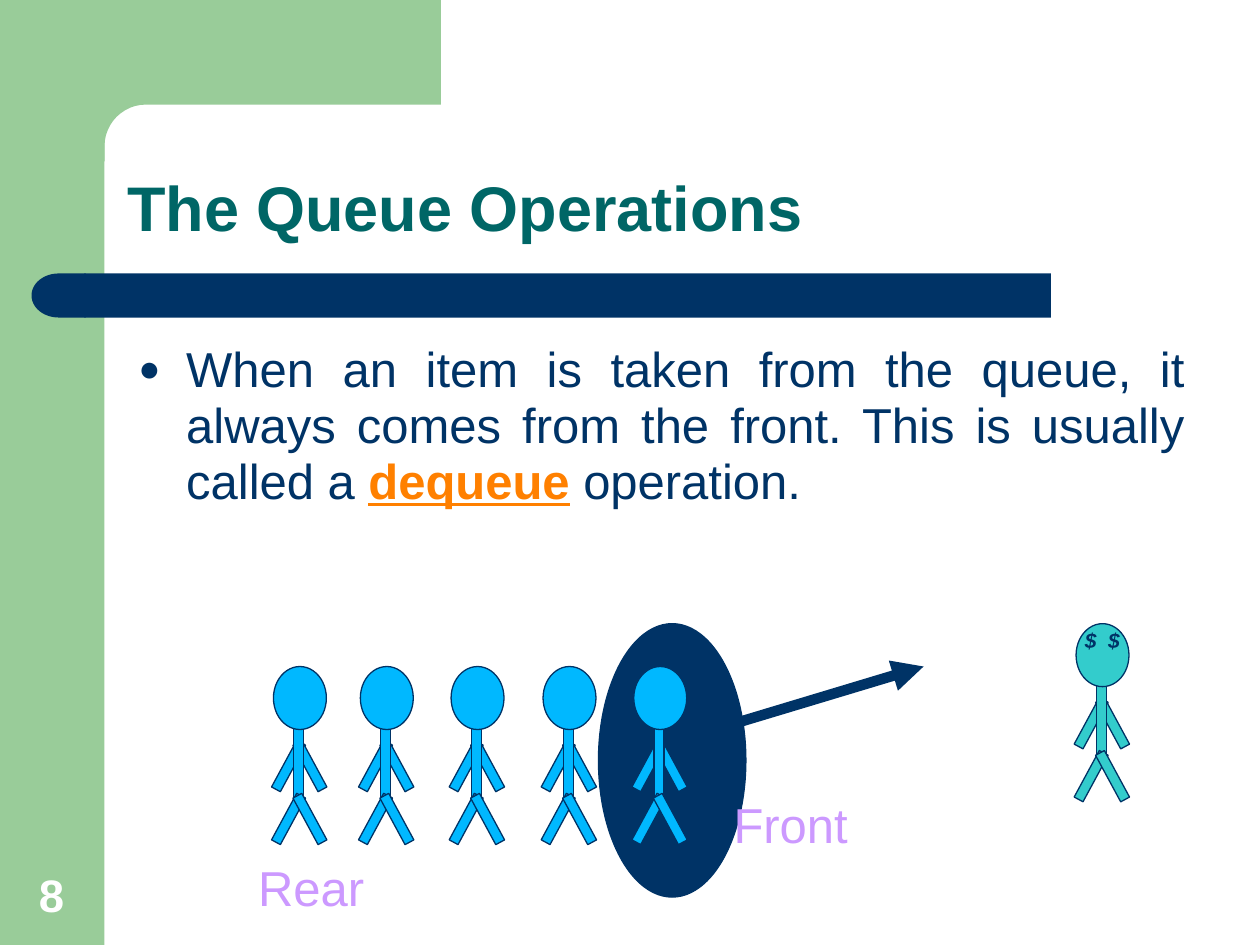
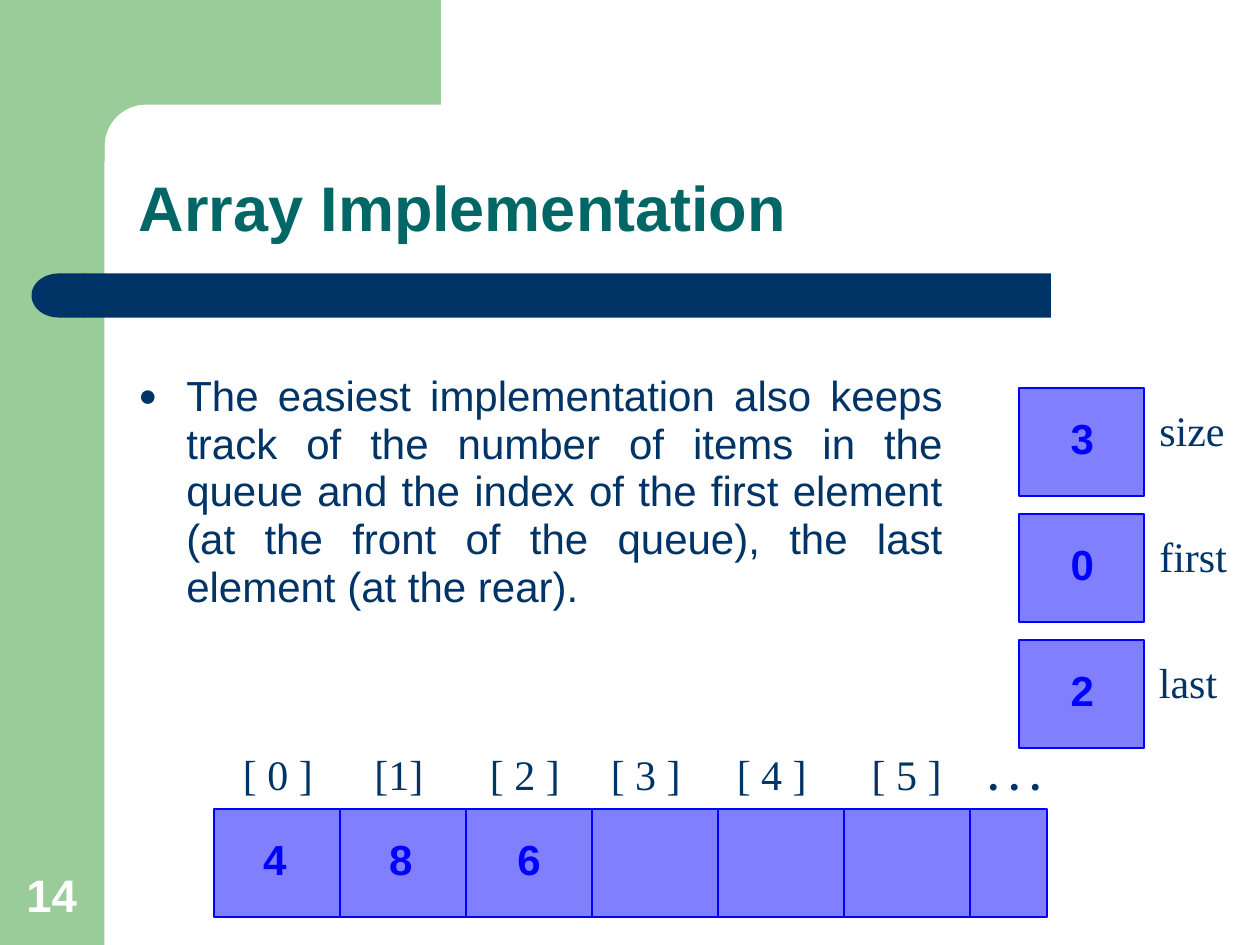
from dataclasses import dataclass
from math import cos, pi, sin
from typing import Any, NamedTuple, Optional

from lxml.etree import SubElement
from pptx import Presentation
from pptx.dml.color import RGBColor
from pptx.enum.shapes import MSO_CONNECTOR, MSO_SHAPE
from pptx.enum.text import MSO_ANCHOR, MSO_AUTO_SIZE, PP_ALIGN
from pptx.oxml.ns import qn
from pptx.util import Inches, Pt

NAVY = RGBColor(0x00, 0x33, 0x66)
GREEN = RGBColor(0x99, 0xCC, 0x99)
TEAL = RGBColor(0x00, 0x66, 0x66)
ORANGE = RGBColor(0xFF, 0x80, 0x00)
LILAC = RGBColor(0xCC, 0x99, 0xFF)
SKY = RGBColor(0x00, 0xB8, 0xFF)
TURQUOISE = RGBColor(0x33, 0xCC, 0xCC)
PERIWINKLE = RGBColor(0x80, 0x80, 0xFF)
BLUE = RGBColor(0x00, 0x00, 0xFF)
WHITE = RGBColor(0xFF, 0xFF, 0xFF)


class Box(NamedTuple):
    left: float
    top: float
    width: float
    height: float

    def lengths(self) -> list:
        return [Inches(value) for value in self]


@dataclass(frozen=True)
class Style:
    color: RGBColor
    font: dict[str, Any]
    spacing: float = 0.95
    align: PP_ALIGN = PP_ALIGN.CENTER


@dataclass(frozen=True)
class BodyPart:
    kind: MSO_SHAPE
    box: Box
    turn: float = 0


@dataclass(frozen=True)
class Counter:
    value: str
    name: str
    name_width: float


TITLE = Style(TEAL, dict(name="Arial", size=Pt(36), bold=True), align=PP_ALIGN.LEFT)
PAGE_NUMBER = Style(WHITE, dict(name="Arial", size=Pt(26), bold=True), 1.0)
QUEUE_END = Style(LILAC, dict(name="Arial", size=Pt(28)))
EYES = Style(NAVY, dict(name="Arial", size=Pt(12), bold=True, italic=True))
INDEX = Style(NAVY, dict(name="Times New Roman", size=Pt(24)), 0.93)
ELLIPSIS = Style(NAVY, INDEX.font | dict(bold=True), 0.93)
VALUE = Style(BLUE, dict(name="Arial", size=Pt(24), bold=True), 0.93)
POINT_LARGE = Style(NAVY, dict(name="Arial", size=Pt(28)), align=PP_ALIGN.JUSTIFY)
POINT_SMALL = Style(NAVY, dict(name="Arial", size=Pt(24)), align=PP_ALIGN.JUSTIFY)
KEY_TERM = Style(ORANGE, POINT_LARGE.font | dict(bold=True, underline=True))

LIMB_TURN = 28.4
LEFT_LIMB, RIGHT_LIMB, SHOULDER, HIP = 0.08, 0.25, 0.58, 1.0
PERSON = (
    BodyPart(MSO_SHAPE.RECTANGLE, Box(LEFT_LIMB, SHOULDER, 0.08, 0.42), LIMB_TURN),
    BodyPart(MSO_SHAPE.RECTANGLE, Box(RIGHT_LIMB, SHOULDER, 0.08, 0.42), -LIMB_TURN),
    BodyPart(MSO_SHAPE.RECTANGLE, Box(0.16, 0.41, 0.08, 0.67)),
    BodyPart(MSO_SHAPE.OVAL, Box(0, 0, 0.42, 0.5)),
    BodyPart(MSO_SHAPE.RECTANGLE, Box(LEFT_LIMB, HIP, 0.08, 0.42), LIMB_TURN),
    BodyPart(MSO_SHAPE.RECTANGLE, Box(RIGHT_LIMB, HIP, 0.08, 0.42), -LIMB_TURN),
)
COUNTERS = (
    Counter("3", "size", 0.72),
    Counter("0", "first", 0.74),
    Counter("2", "last", 0.66),
)


def paint(shape, fill: Optional[RGBColor], line: Optional[RGBColor] = None,
          weight: float = 0.75) -> None:
    shape.shadow.inherit = False
    if fill is None:
        shape.fill.background()
    else:
        shape.fill.solid()
        shape.fill.fore_color.rgb = fill
    if line is None:
        shape.line.fill.background()
    else:
        shape.line.color.rgb = line
        shape.line.width = Pt(weight)


def add_block(slide, kind: MSO_SHAPE, box: Box, fill: Optional[RGBColor],
              line: Optional[RGBColor] = None, weight: float = 0.75, turn: float = 0):
    block = slide.shapes.add_shape(kind, *box.lengths())
    block.rotation = turn
    if kind == MSO_SHAPE.ROUNDED_RECTANGLE:
        block.adjustments[0] = 0
    paint(block, fill, line, weight)
    return block


def add_line(slide, start: tuple, end: tuple, color: RGBColor,
             weight: float, arrow: bool = False) -> None:
    ends = [Inches(value) for value in (*start, *end)]
    connector = slide.shapes.add_connector(MSO_CONNECTOR.STRAIGHT, *ends)
    connector.line.color.rgb = color
    connector.line.width = Pt(weight)
    if arrow:
        SubElement(connector.line._get_or_add_ln(), qn("a:tailEnd"), type="triangle")
    SubElement(connector._element.spPr, qn("a:effectLst"))


def write_run(paragraph, text: str, style: Style):
    run = paragraph.add_run()
    run.text = text
    for attribute, value in style.font.items():
        setattr(run.font, attribute, value)
    run.font.color.rgb = style.color
    return run


def prepare(frame, style: Style, wrap: bool, anchor: MSO_ANCHOR):
    settings = dict(word_wrap=wrap, auto_size=MSO_AUTO_SIZE.NONE, vertical_anchor=anchor)
    for attribute, value in settings.items():
        setattr(frame, attribute, value)
    paragraph = frame.paragraphs[0]
    paragraph.alignment = style.align
    paragraph.line_spacing = style.spacing
    return paragraph


def add_text(slide, text: str, box: Box, style: Style, anchor: MSO_ANCHOR = MSO_ANCHOR.TOP):
    holder = slide.shapes.add_textbox(*box.lengths())
    return write_run(prepare(holder.text_frame, style, False, anchor), text, style)


def add_label(slide, text: str, box: Box, style: Style) -> None:
    label = add_block(slide, MSO_SHAPE.ROUNDED_RECTANGLE, box, None)
    write_run(prepare(label.text_frame, style, False, MSO_ANCHOR.TOP), text, style)


def add_point(slide, box: Box, style: Style, *pieces: tuple[str, Style]) -> None:
    point = slide.shapes.add_textbox(*box.lengths())
    paragraph = prepare(point.text_frame, style, True, MSO_ANCHOR.TOP)
    properties = paragraph._p.get_or_add_pPr()
    properties.set("marL", str(Inches(0.38)))
    properties.set("indent", str(-Inches(0.38)))
    bullet_color = SubElement(properties, qn("a:buClr"))
    SubElement(bullet_color, qn("a:srgbClr"), val=str(NAVY))
    SubElement(properties, qn("a:buSzPct"), val="75000")
    SubElement(properties, qn("a:buFont"), typeface="Arial")
    SubElement(properties, qn("a:buChar"), char="●")
    for text, piece_style in pieces:
        write_run(paragraph, text, piece_style)


def add_corner(slide) -> None:
    center, radius, steps = 1.16, 0.33, 12
    angles = [pi / 2 * (1 + step / steps) for step in range(steps + 1)]
    curve = [(center + radius * cos(a), center - radius * sin(a)) for a in angles]
    outline = [(3.5, 0.83), *reversed(curve[::-1]), (0.83, 1.28), (0.5, 1.28), (0.5, 0)]
    builder = slide.shapes.build_freeform(Inches(3.5), 0)
    builder.add_line_segments([(Inches(x), Inches(y)) for x, y in outline])
    paint(builder.convert_to_shape(), GREEN)


def add_slide(deck, heading: str, heading_left: float, number: str):
    slide = deck.slides.add_slide(deck.slide_layouts[5])
    add_block(slide, MSO_SHAPE.RECTANGLE, Box(0, 0, 0.83, 7.5), GREEN)
    add_corner(slide)
    add_block(slide, MSO_SHAPE.ROUNDED_RECTANGLE, Box(0.67, 2.17, 7.67, 0.35), NAVY)
    add_block(slide, MSO_SHAPE.FLOWCHART_DELAY, Box(0.25, 2.17, 0.43, 0.35), NAVY, turn=180)
    title = slide.shapes.title
    place = Box(heading_left, 0.91, 8.34, 1.09)
    for side, length in zip(place._fields, place.lengths()):
        setattr(title, side, length)
    write_run(prepare(title.text_frame, TITLE, True, MSO_ANCHOR.BOTTOM), heading, TITLE)
    add_text(slide, number, Box(0.09, 6.83, 0.64, 0.53), PAGE_NUMBER, MSO_ANCHOR.BOTTOM)
    return slide


def add_person(slide, left: float, top: float, color: RGBColor) -> None:
    for part in PERSON:
        box = part.box._replace(left=left + part.box.left, top=top + part.box.top)
        add_block(slide, part.kind, box, color, NAVY, turn=part.turn)


def build_operations(deck) -> None:
    slide = add_slide(deck, "The Queue Operations", 0.91, "8")
    add_point(
        slide, Box(1, 2.67, 8.5, 2), POINT_LARGE,
        ("When an item is taken from the queue, it always comes from the front. "
         "This is usually called a ", POINT_LARGE),
        ("dequeue", KEY_TERM),
        (" operation.", POINT_LARGE),
    )
    add_block(slide, MSO_SHAPE.OVAL, Box(4.75, 4.95, 1.17, 2.17), NAVY, NAVY)
    for left in (2.17, 2.86, 3.58, 4.31, 5.03):
        add_person(slide, left, 5.29, SKY)
    add_person(slide, 8.54, 4.95, TURQUOISE)
    eyes = add_text(slide, "$ $", Box(8.5, 4.95, 0.5, 0.5), EYES)
    eyes._r.get_or_add_rPr().set("spc", "167")
    add_label(slide, "Front", Box(5.72, 6.29, 1.11, 0.54), QUEUE_END)
    add_label(slide, "Rear", Box(1.95, 6.79, 1.04, 0.54), QUEUE_END)
    add_line(slide, (5.67, 5.79), (7.33, 5.29), NAVY, 6, arrow=True)


def build_array(deck) -> None:
    slide = add_slide(deck, "Array Implementation", 1, "14")
    add_point(
        slide, Box(1, 2.91, 6.58, 2.45), POINT_SMALL,
        ("The easiest implementation also keeps track of the number of items in the queue "
         "and the index of the first element (at the front of the queue), "
         "the last element (at the rear).", POINT_SMALL),
    )
    array = Box(1.7, 6.42, 6.61, 0.86)
    add_block(slide, MSO_SHAPE.ROUNDED_RECTANGLE, array, PERIWINKLE, BLUE, 1)
    for cell in range(1, 7):
        x = array.left + cell
        add_line(slide, (x, array.top), (x, array.top + array.height), BLUE, 1)

    indexes = ("[ 0 ]", "[1]", "[ 2 ]", "[ 3 ]", "[ 4 ]", "[ 5 ]")
    for index, left in zip(indexes, (1.83, 2.87, 3.79, 4.75, 5.75, 6.82)):
        width = 0.75 if " " in index else 0.59
        add_label(slide, index, Box(left, 5.93, width, 0.47), INDEX)
    add_label(slide, ". . .", Box(7.74, 5.93, 0.62, 0.47), ELLIPSIS)
    for item, left in zip("486", (1.99, 2.99, 4.01)):
        add_label(slide, item, Box(left, 6.6, 0.38, 0.47), VALUE)

    for row, counter in enumerate(COUNTERS):
        top = 3.08 + row
        add_label(slide, counter.name, Box(9.1, top + 0.12, counter.name_width, 0.47), INDEX)
        add_block(slide, MSO_SHAPE.ROUNDED_RECTANGLE, Box(8.09, top, 0.99, 0.86),
                  PERIWINKLE, BLUE, 1)
        add_label(slide, counter.value, Box(8.4, top + 0.18, 0.38, 0.47), VALUE)


def main() -> None:
    deck = Presentation()
    deck.slide_width, deck.slide_height = Inches(10), Inches(7.5)
    build_operations(deck)
    build_array(deck)
    deck.save("out.pptx")


if __name__ == "__main__":
    main()
